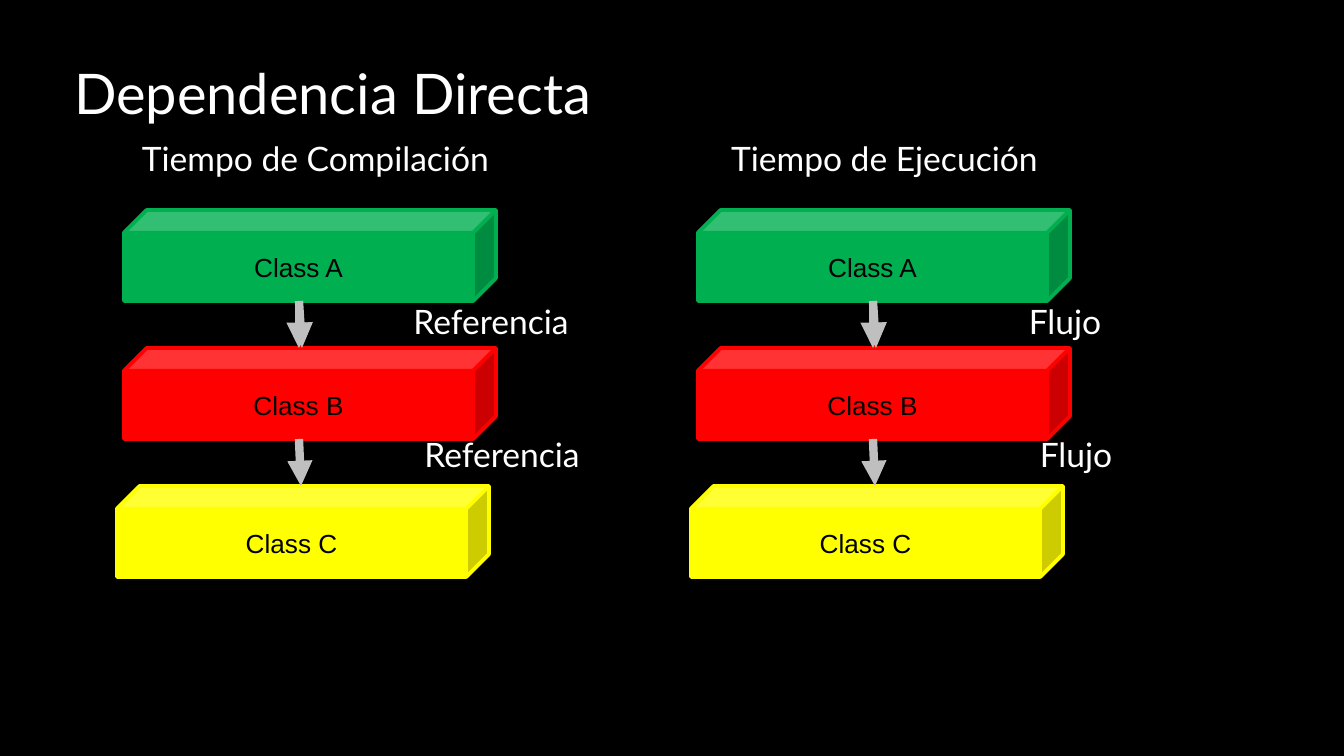
from lxml import etree
from pptx import Presentation
from pptx.dml.color import RGBColor
from pptx.enum.shapes import MSO_CONNECTOR, MSO_SHAPE
from pptx.enum.text import MSO_ANCHOR, MSO_AUTO_SIZE, PP_ALIGN
from pptx.oxml.ns import qn
from pptx.util import Pt

CUBE, STRAIGHT = MSO_SHAPE.CUBE, MSO_CONNECTOR.STRAIGHT
TOP, MIDDLE = MSO_ANCHOR.TOP, MSO_ANCHOR.MIDDLE
LEFT, CENTER = PP_ALIGN.LEFT, PP_ALIGN.CENTER
NO_FIT = MSO_AUTO_SIZE.NONE

BLACK = RGBColor(0x00, 0x00, 0x00)
WHITE = RGBColor(0xFF, 0xFF, 0xFF)
GREEN = RGBColor(0x00, 0xB0, 0x50)
RED = RGBColor(0xFF, 0x00, 0x00)
YELLOW = RGBColor(0xFF, 0xFF, 0x00)
GRAY = RGBColor(0xBF, 0xBF, 0xBF)

TITLE = "Dependencia Directa"
COLUMNS = [
    {"heading": "Tiempo de Compilación", "heading_x": 83, "label": "Referencia"},
    {"heading": "Tiempo de Ejecución", "heading_x": 652, "label": "Flujo"},
]
CLASSES = [("Class A", GREEN, 0), ("Class B", RED, 0), ("Class C", YELLOW, -7)]
ARROWS = [(0, 0), (1, 2), (0, 3)]
LABELS = [(288, 302), (421, 324)]

COLUMN_STEP = 574
CUBE_X, CUBE_Y, CUBE_W, CUBE_H, CUBE_STEP = 124, 210, 372, 91, 138
ARROW_X, LABEL_X = 299, 340
HEADING_Y, HEADING_W, TEXT_H = 125, 465, 85
INSET = 13

TITLE_FONT = {"name": "Lato", "size": Pt(30)}
LABEL_FONT = {"name": "Lato", "size": Pt(18)}
CLASS_FONT = {"name": "Arial", "size": Pt(14)}


def px(*values):
    return [round(value * 914400 / 134.4) for value in values]


def write(shape, text, font, color, align, frame_format):
    frame = shape.text_frame
    frame.word_wrap = True
    for name, value in frame_format.items():
        setattr(frame, name, value)
    para = frame.paragraphs[0]
    para.alignment = align
    span = para.add_run()
    span.text = text
    for name, value in font.items():
        setattr(span.font, name, value)
    span.font.color.rgb = color


def add_label(page, text, *place):
    box = page.shapes.add_textbox(*px(*place))
    write(box, text, LABEL_FONT, WHITE, CENTER, TEXT_FRAME)


def add_cube(page, text, color, *place):
    cube = page.shapes.add_shape(CUBE, *px(*place))
    cube.shadow.inherit = False
    cube.fill.solid()
    cube.fill.fore_color.rgb = color
    cube.line.color.rgb = color
    cube.line.width = Pt(2)
    write(cube, text, CLASS_FONT, BLACK, CENTER, {"vertical_anchor": MIDDLE})


def add_arrow(page, *ends):
    arrow = page.shapes.add_connector(STRAIGHT, *px(*ends))
    arrow.line.color.rgb = GRAY
    arrow.line.width = Pt(4.5)
    properties = arrow._element.spPr
    etree.SubElement(properties.find(qn("a:ln")), qn("a:tailEnd"), type="triangle")
    etree.SubElement(properties, qn("a:effectLst"))


inset = px(INSET)[0]
TEXT_FRAME = {"vertical_anchor": TOP, "auto_size": NO_FIT}
TEXT_FRAME.update({f"margin_{side}": inset for side in ("left", "top", "right", "bottom")})

deck = Presentation()
deck.slide_width, deck.slide_height = px(1344, 756)
page = deck.slides.add_slide(deck.slide_layouts[5])
page.background.fill.solid()
page.background.fill.fore_color.rgb = BLACK

title = page.shapes.title
title.left, title.top, title.width, title.height = px(61, 46, 1226, TEXT_H)
write(title, TITLE, TITLE_FONT, WHITE, LEFT, TEXT_FRAME)

for index, column in enumerate(COLUMNS):
    shift = index * COLUMN_STEP
    for row, (name, color, nudge) in enumerate(CLASSES):
        add_cube(page, name, color, CUBE_X + shift + nudge, CUBE_Y + row * CUBE_STEP, CUBE_W, CUBE_H)
    for row, drift in ARROWS:
        x, top = ARROW_X + shift, CUBE_Y + row * CUBE_STEP
        add_arrow(page, x, top + CUBE_H, x + drift, top + CUBE_STEP)
    add_label(page, column["heading"], column["heading_x"], HEADING_Y, HEADING_W, TEXT_H)
    for y, width in LABELS:
        add_label(page, column["label"], LABEL_X + shift, y, width, TEXT_H)

deck.save("out.pptx")
